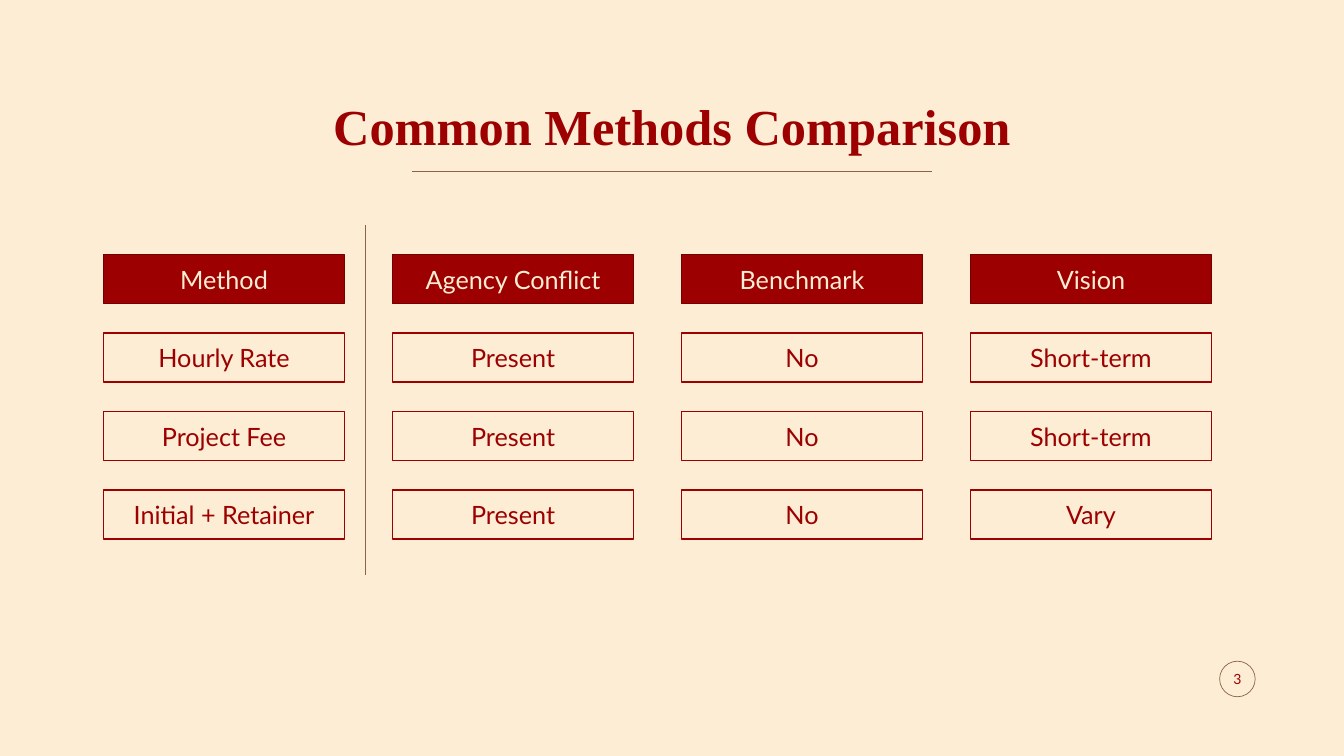
import pptx
import pptx.dml.color
import pptx.enum.shapes
import pptx.enum.text
import pptx.oxml.ns
import pptx.util
from lxml import etree

Pt = pptx.util.Pt
Shape = pptx.enum.shapes.MSO_SHAPE
Anchor = pptx.enum.text.MSO_ANCHOR

CREAM, RED, DARK_RED, BROWN = "FCEDD4", "9D0000", "740000", "8D6347"


def colour(value):
    return pptx.dml.color.RGBColor.from_string(value)


class SlideBuilder:
    """Holds the text styles and the current slide; lengths are in points."""

    styles = {
        "title": {"name": "Times New Roman", "size": Pt(36), "bold": True},
        "cell": {"name": "Lato", "size": Pt(18)},
        "number": {"name": "Lato", "size": Pt(10)},
    }

    def __init__(self, slide, background):
        self.slide = slide
        slide.background.fill.solid()
        slide.background.fill.fore_color.rgb = colour(background)

    def label(self, shape, text, style, ink, anchor=Anchor.MIDDLE):
        frame = shape.text_frame
        frame.word_wrap = True
        frame.auto_size = pptx.enum.text.MSO_AUTO_SIZE.NONE
        frame.vertical_anchor = anchor
        para = frame.paragraphs[0]
        para.alignment = pptx.enum.text.PP_ALIGN.CENTER
        span = para.add_run()
        span.text = text
        for key, value in self.styles[style].items():
            setattr(span.font, key, value)
        span.font.color.rgb = colour(ink)
        return para

    def title(self, text, left, top, width, height):
        shape = self.slide.shapes.title
        place = {"left": left, "top": top, "width": width, "height": height}
        for key, value in place.items():
            setattr(shape, key, Pt(value))
        para = self.label(shape, text, "title", RED, Anchor.BOTTOM)
        para.line_spacing = 0.9

    def shape(self, kind, left, top, width, height, line, weight, fill=None):
        shape = self.slide.shapes.add_shape(kind, Pt(left), Pt(top), Pt(width), Pt(height))
        shape.shadow.inherit = False
        if fill:
            shape.fill.solid()
            shape.fill.fore_color.rgb = colour(fill)
        else:
            shape.fill.background()
        shape.line.color.rgb = colour(line)
        shape.line.width = Pt(weight)
        return shape

    def rule(self, x1, y1, x2, y2, line, weight):
        rule = self.slide.shapes.add_connector(
            pptx.enum.shapes.MSO_CONNECTOR.STRAIGHT, Pt(x1), Pt(y1), Pt(x2), Pt(y2))
        rule.line.color.rgb = colour(line)
        rule.line.width = Pt(weight)
        etree.SubElement(rule._element.spPr, pptx.oxml.ns.qn("a:effectLst"))

    def text(self, text, left, top, width, height, style, ink):
        box = self.slide.shapes.add_textbox(Pt(left), Pt(top), Pt(width), Pt(height))
        self.label(box, text, style, ink)


COLUMNS = [
    ("Method", "Hourly Rate", "Project Fee", "Initial + Retainer"),
    ("Agency Conflict", "Present", "Present", "Present"),
    ("Benchmark", "No", "No", "No"),
    ("Vision", "Short-term", "Short-term", "Vary"),
]
GRID_LEFT, GRID_TOP = 74.1, 181.9
COLUMN_STEP, ROW_STEP = 206.4, 56
CELL_WIDTH, CELL_HEIGHT = 172, 35


def main():
    deck = pptx.Presentation()
    deck.slide_width, deck.slide_height = Pt(960), Pt(540)
    page = SlideBuilder(deck.slides.add_slide(deck.slide_layouts[5]), CREAM)

    # Title and underline
    page.title("Common Methods Comparison", 66, 60, 828, 55.5)
    page.rule(294.5, 122.4, 665.8, 122.4, BROWN, 1)

    # Page number in a ring
    page.shape(Shape.OVAL, 871.2, 472.3, 25.4, 25.4, BROWN, 0.5)
    page.text("3", 869.5, 470.6, 28.8, 28.8, "number", RED)

    # Comparison grid: the first row holds the headings
    for column, entries in enumerate(COLUMNS):
        for row, entry in enumerate(entries):
            fill, line, ink = (CREAM, RED, RED) if row else (RED, DARK_RED, CREAM)
            cell = page.shape(
                Shape.RECTANGLE, GRID_LEFT + column * COLUMN_STEP, GRID_TOP + row * ROW_STEP,
                CELL_WIDTH, CELL_HEIGHT, line, 1, fill)
            page.label(cell, entry, "cell", ink)

    # Divider after the method column
    page.rule(261.1, 160.6, 261.1, 410.4, BROWN, 0.5)

    deck.save("out.pptx")


if __name__ == "__main__":
    main()
